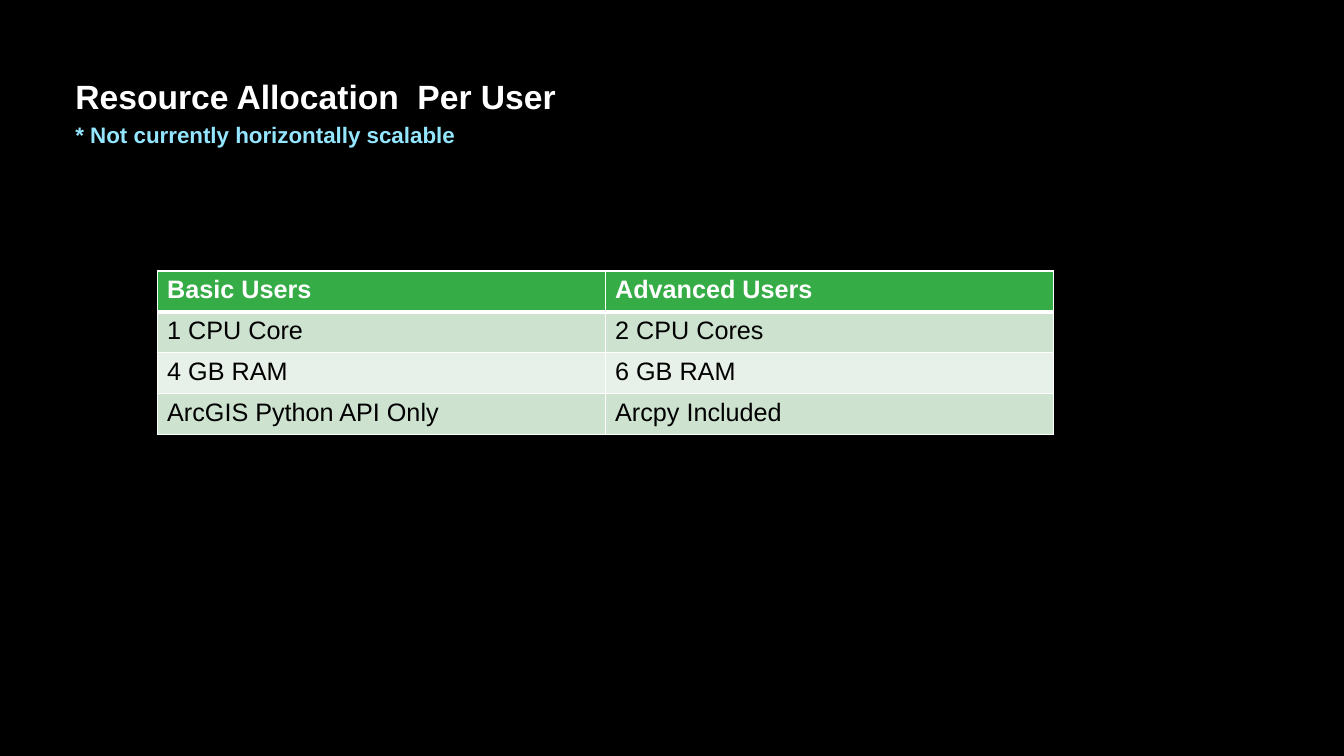
from dataclasses import dataclass

from lxml import etree
from pptx import Presentation
from pptx.dml.color import RGBColor as Color
from pptx.enum.text import MSO_ANCHOR as Anchor, MSO_AUTO_SIZE as AutoSize, PP_ALIGN as Align
from pptx.oxml.ns import qn
from pptx.util import Cm, Pt


@dataclass(frozen=True)
class Theme:
    font: str = "Arial"
    background: str = "000000"
    light: str = "FFFFFF"
    dark: str = "000000"
    accent: str = "94E6FF"
    header: str = "35AC46"
    bands: tuple = ("CEE3CF", "E8F1E9")
    title_size: int = 24
    subtitle_size: int = 16
    table_size: int = 18
    border: int = 1
    header_border: int = 3


class SlideBuilder:
    def __init__(self, presentation, theme):
        self.theme = theme
        self.slide = presentation.slides.add_slide(presentation.slide_layouts[5])
        fill = self.slide.background.fill
        fill.solid()
        fill.fore_color.rgb = Color.from_string(theme.background)

    def add_text(self, frame, text, size, color, bold):
        paragraph = frame.paragraphs[0]
        paragraph.alignment = Align.LEFT
        run = paragraph.add_run()
        run.text = text
        for name, value in {"name": self.theme.font, "size": Pt(size), "bold": bold}.items():
            setattr(run.font, name, value)
        run.font.color.rgb = Color.from_string(color)

    def heading(self, shape, box, text, size, color):
        for name, value in zip(("left", "top", "width", "height"), box):
            setattr(shape, name, Cm(value))
        frame_format = {
            "margin_left": 0, "margin_top": 0, "margin_right": 0, "margin_bottom": 0,
            "word_wrap": True, "auto_size": AutoSize.NONE, "vertical_anchor": Anchor.TOP,
        }
        for name, value in frame_format.items():
            setattr(shape.text_frame, name, value)
        self.add_text(shape.text_frame, text, size, color, True)

    def title(self, box, text):
        self.heading(self.slide.shapes.title, box, text, self.theme.title_size, self.theme.light)

    def subtitle(self, box, text):
        shape = self.slide.shapes.add_textbox(0, 0, 0, 0)
        self.heading(shape, box, text, self.theme.subtitle_size, self.theme.accent)

    def borders(self, cell, widths):
        properties = cell._tc.get_or_add_tcPr()
        for index, (side, width) in enumerate(widths.items()):
            line = etree.Element(qn(f"a:ln{side}"), w=str(Pt(width)))
            solid = etree.SubElement(line, qn("a:solidFill"))
            etree.SubElement(solid, qn("a:srgbClr"), val=self.theme.light)
            properties.insert(index, line)

    def table(self, left, top, column_width, row_height, rows):
        theme = self.theme
        columns = len(rows[0])
        table = self.slide.shapes.add_table(
            len(rows), columns, Cm(left), Cm(top),
            Cm(column_width * columns), Cm(row_height * len(rows))).table
        for row_index, texts in enumerate(rows):
            is_header = row_index == 0
            fill = theme.header if is_header else theme.bands[(row_index - 1) % 2]
            color = theme.light if is_header else theme.dark
            # The thick rule lies between the header and the first row
            widths = {
                "L": theme.border, "R": theme.border,
                "T": theme.header_border if row_index == 1 else theme.border,
                "B": theme.header_border if is_header else theme.border,
            }
            for column_index, text in enumerate(texts):
                cell = table.cell(row_index, column_index)
                cell.fill.solid()
                cell.fill.fore_color.rgb = Color.from_string(fill)
                self.add_text(cell.text_frame, text, theme.table_size, color, is_header)
                self.borders(cell, widths)


def main():
    presentation = Presentation()
    presentation.slide_width = Cm(33.87)
    presentation.slide_height = Cm(19.05)
    builder = SlideBuilder(presentation, Theme())

    # Title and note
    builder.title((1.9, 1.9, 30.08, 2.06), "Resource Allocation  Per User")
    builder.subtitle((1.9, 3.06, 30.08, 0.68), "* Not currently horizontally scalable")

    # Resources for each kind of user
    builder.table(3.96, 6.83, 11.29, 1.03, [
        ("Basic Users", "Advanced Users"),
        ("1 CPU Core", "2 CPU Cores"),
        ("4 GB RAM", "6 GB RAM"),
        ("ArcGIS Python API Only", "Arcpy Included"),
    ])

    presentation.save("out.pptx")


if __name__ == "__main__":
    main()
